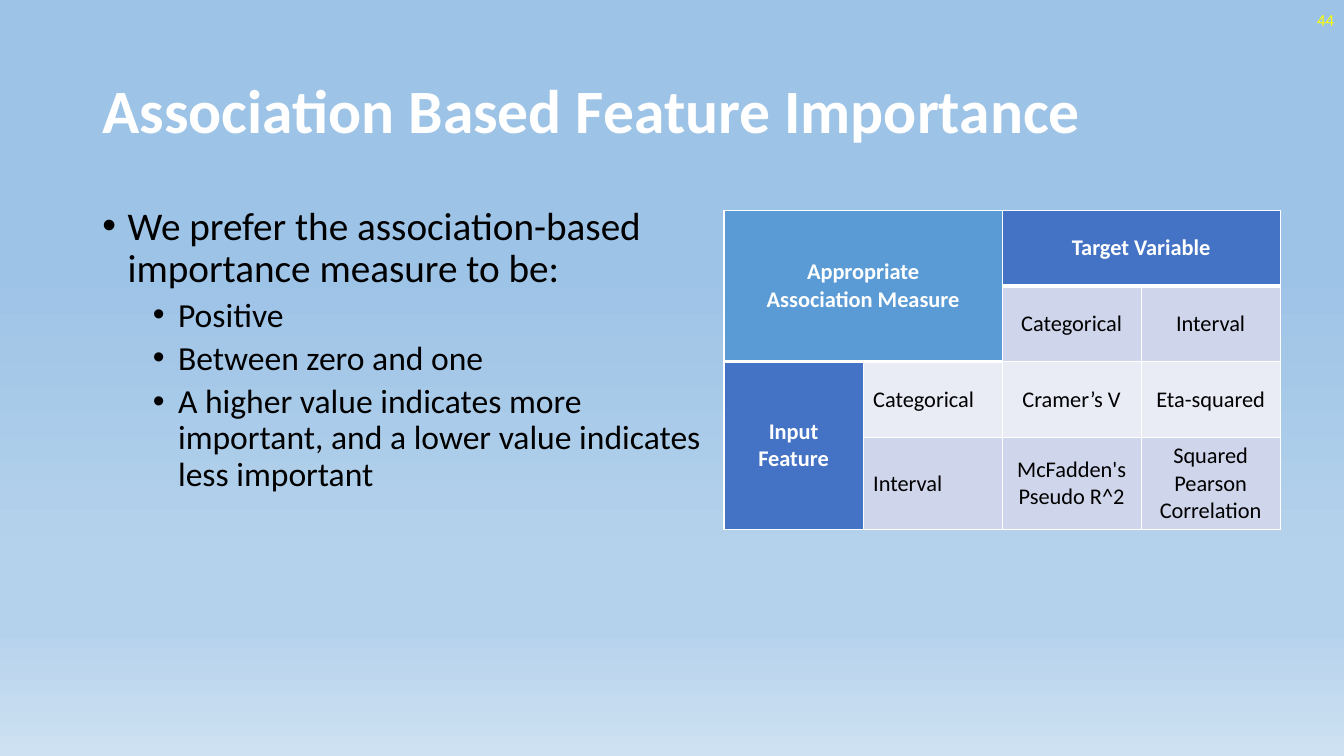
from dataclasses import dataclass
from lxml.etree import SubElement
from pptx import Presentation
from pptx.dml.color import RGBColor
from pptx.enum.text import MSO_ANCHOR, MSO_AUTO_SIZE, PP_ALIGN
from pptx.oxml.ns import qn
from pptx.util import Pt


@dataclass(frozen=True)
class Theme:
    font: str = "Calibri"
    white: str = "FFFFFF"
    black: str = "000000"
    yellow: str = "FFFF00"
    sky: str = "5B9BD5"
    blue: str = "4472C4"
    dark: str = "CFD5EA"
    light: str = "E9EBF5"
    fade: tuple = ((35, "9DC3E6"), (74, "B5D2EC"), (83, "B5D2EC"), (100, "CEE1F2"))
    title: int = 44
    list: tuple = (28, 24)
    cell: int = 16
    page: int = 12


class Deck:
    def __init__(self, theme):
        self.theme = theme
        self.file = Presentation()
        self.file.slide_width, self.file.slide_height = Pt(960), Pt(540)
        self.slide = self.file.slides.add_slide(self.file.slide_layouts[1])

    def style(self, para, size, color, bold=False, align=PP_ALIGN.LEFT):
        para.alignment = align
        font = para.font
        font.name, font.size, font.bold = self.theme.font, Pt(size), bold
        font.color.rgb = RGBColor.from_string(color)

    def place(self, shape, box):
        shape.left, shape.top, shape.width, shape.height = map(Pt, box)
        frame = shape.text_frame
        frame.word_wrap = True
        frame.auto_size = MSO_AUTO_SIZE.NONE
        return frame

    def backdrop(self):
        fill = self.slide.background.fill
        fill.gradient()
        fill.gradient_angle = 270
        stops = next(self.slide.element.iter(qn("a:gsLst")))
        stops.clear()
        for spot, color in self.theme.fade:
            stop = SubElement(stops, qn("a:gs"), pos=str(spot * 1000))
            SubElement(stop, qn("a:srgbClr"), val=color)

    def title(self, text, box):
        frame = self.place(self.slide.shapes.title, box)
        frame.vertical_anchor = MSO_ANCHOR.MIDDLE
        para = frame.paragraphs[0]
        para.text, para.line_spacing = text, 0.9
        self.style(para, self.theme.title, self.theme.white, True)

    def bullets(self, items, box):
        frame = self.place(self.slide.placeholders[1], box)
        for i, (level, text) in enumerate(items):
            para = frame.add_paragraph() if i else frame.paragraphs[0]
            para.text, para.level, para.line_spacing = text, level, 0.9
            para.space_before = Pt(5 if i else 0)
            props = para._p.get_or_add_pPr()
            props.set("marL", str(Pt(18 + 36 * level)))
            props.set("indent", str(Pt(-18)))
            SubElement(props, qn("a:buFont"), typeface="Arial")
            SubElement(props, qn("a:buChar"), char="•")
            self.style(para, self.theme.list[level], self.theme.black)

    def label(self, text, box):
        frame = self.place(self.slide.shapes.add_textbox(*map(Pt, box)), box)
        frame.vertical_anchor = MSO_ANCHOR.MIDDLE
        para = frame.paragraphs[0]
        para.text = text
        self.style(para, self.theme.page, self.theme.yellow, align=PP_ALIGN.RIGHT)

    def border(self, cell, widths):
        props = cell._tc.get_or_add_tcPr()
        for side, width in widths.items():
            line = SubElement(props, qn(f"a:ln{side}"), w=str(Pt(width)))
            fill = SubElement(line, qn("a:solidFill"))
            SubElement(fill, qn("a:srgbClr"), val=self.theme.white)

    def grid(self, rows, spans, box):
        theme = self.theme
        count = len(rows[0])
        table = self.slide.shapes.add_table(len(rows), count, *map(Pt, box)).table
        table.first_row = table.horz_banding = False
        for row, col, last, end in spans:
            table.cell(row, col).merge(table.cell(last, end))
        for r, row in enumerate(rows):
            for c, (text, color) in enumerate(row):
                cell = table.cell(r, c)
                head = 2 if c < 2 else 1
                self.border(cell, {"L": 1, "R": 1, "T": 3 if r == head else 1,
                                   "B": 3 if r < head else 1})
                cell.fill.solid()
                cell.fill.fore_color.rgb = RGBColor.from_string(color)
                cell.vertical_anchor = MSO_ANCHOR.MIDDLE
                para = cell.text_frame.paragraphs[0]
                para.text = text
                bold = color in (theme.sky, theme.blue)
                left = c == 1 and not bold
                self.style(para, theme.cell, theme.white if bold else theme.black,
                           bold, PP_ALIGN.LEFT if left else PP_ALIGN.CENTER)


def main():
    theme = Theme()
    deck = Deck(theme)
    deck.backdrop()
    deck.title("Association Based Feature Importance", (66, 28.75, 828, 104.4))
    deck.bullets([
        (0, "We prefer the association-based importance measure to be:"),
        (1, "Positive"),
        (1, "Between zero and one"),
        (1, "A higher value indicates more important, and a lower value indicates less important"),
    ], (66, 143.75, 446.4, 342.6))
    deck.label("44", (744, 0, 216, 28.8))
    sky, blue, dark, light = theme.sky, theme.blue, theme.dark, theme.light
    deck.grid([
        [("Appropriate\nAssociation Measure", sky), ("", sky),
         ("Target Variable", blue), ("", blue)],
        [("", sky), ("", sky), ("Categorical", dark), ("Interval", dark)],
        [("Input Feature", blue), ("Categorical", light),
         ("Cramer’s V", light), ("Eta-squared", light)],
        [("", blue), ("Interval", dark), ("McFadden's Pseudo R^2", dark),
         ("Squared Pearson Correlation", dark)],
    ], [(0, 0, 1, 1), (0, 2, 0, 3), (2, 0, 3, 0)], (517.2, 150.3, 397.2, 216))
    deck.file.save("out.pptx")


if __name__ == "__main__":
    main()
